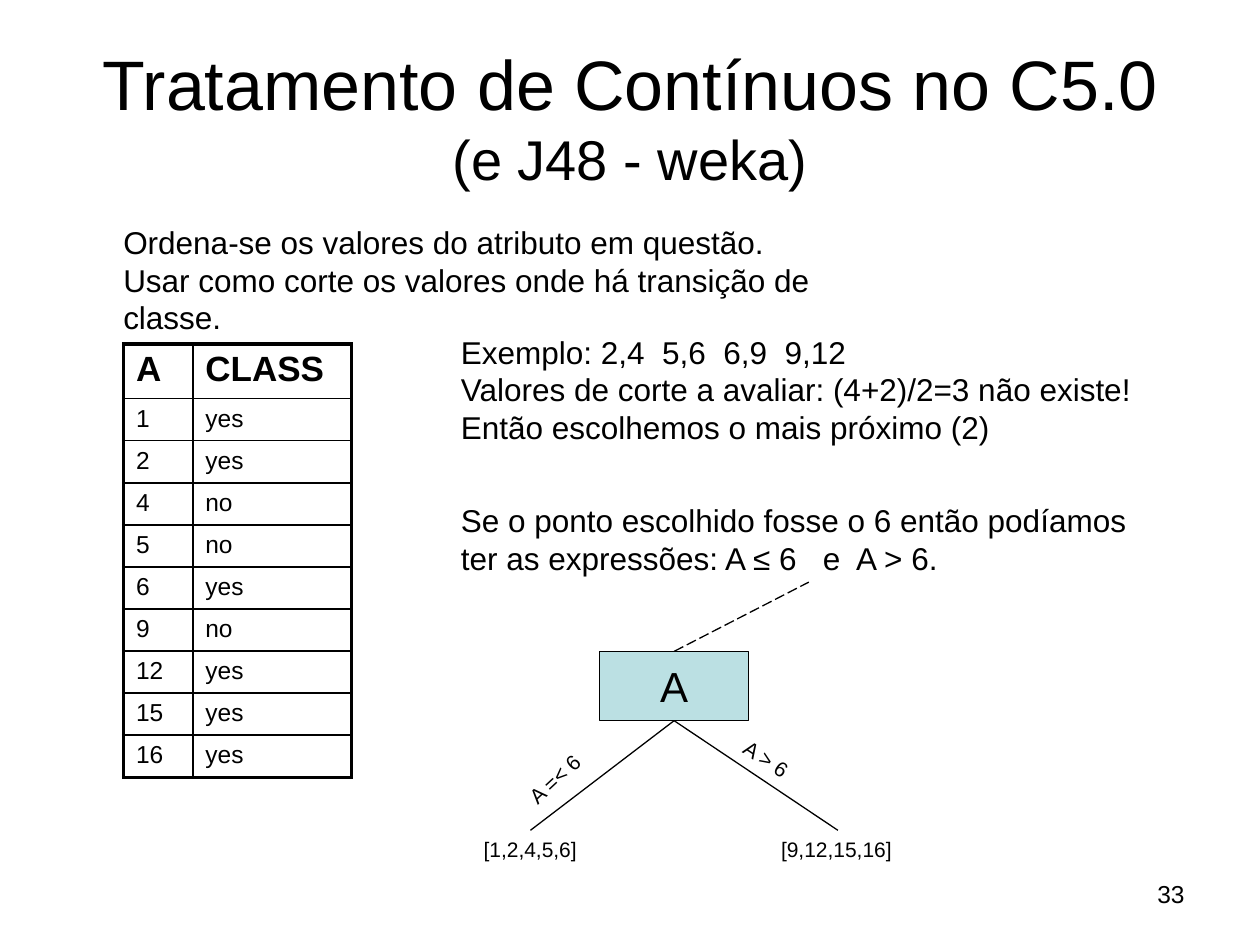
from dataclasses import dataclass

from lxml.etree import SubElement
from pptx import Presentation
from pptx.dml.color import RGBColor
from pptx.enum.dml import MSO_LINE
from pptx.enum.shapes import MSO_CONNECTOR, MSO_SHAPE
from pptx.enum.text import MSO_ANCHOR, MSO_AUTO_SIZE, PP_ALIGN
from pptx.oxml.ns import qn
from pptx.util import Inches, Pt


@dataclass(frozen=True)
class Theme:
    font: str = "Arial"
    ink: RGBColor = RGBColor(0, 0, 0)
    node: RGBColor = RGBColor(0xBB, 0xE0, 0xE3)
    title: int = 40
    subtitle: int = 32
    root: int = 24
    header: int = 20
    body: int = 18
    small: int = 14
    label: int = 12
    thin: float = 0.75
    grid: float = 1
    frame: float = 2.25


T = Theme()
ROWS = [("A", "CLASS"), ("1", "yes"), ("2", "yes"), ("4", "no"), ("5", "no"),
        ("6", "yes"), ("9", "no"), ("12", "yes"), ("15", "yes"), ("16", "yes")]


def add_run(p, text, size, bold=False):
    r = p.add_run()
    r.text = text
    r.font.name, r.font.size, r.font.bold = T.font, Pt(size), bold
    r.font.color.rgb = T.ink


def write(tf, *lines, size=T.body, bold=False, align=PP_ALIGN.LEFT):
    for i, line in enumerate(lines):
        p = tf.add_paragraph() if i else tf.paragraphs[0]
        p.alignment = align
        add_run(p, line, size, bold)


def add_text(s, box, *lines, rotation=0, wrap=False, **fmt):
    sp = s.shapes.add_textbox(*map(Inches, box))
    sp.rotation = rotation
    sp.text_frame.word_wrap = wrap
    write(sp.text_frame, *lines, **fmt)


def add_title(s, box):
    sp = s.shapes.title
    sp.left, sp.top, sp.width, sp.height = map(Inches, box)
    tf = sp.text_frame
    tf.auto_size = MSO_AUTO_SIZE.NONE
    tf.vertical_anchor = MSO_ANCHOR.MIDDLE
    p = tf.paragraphs[0]
    p.alignment = PP_ALIGN.CENTER
    add_run(p, "Tratamento de Contínuos no C5.0 ", T.title)
    add_run(p, "(e J48 - weka)", T.subtitle)


def set_borders(cell, **widths):
    """Draw the sides L, R, T, B, in the order the schema asks for."""
    tc_pr = cell._tc.get_or_add_tcPr()
    for i, side in enumerate("LRTB"):
        ln = tc_pr.makeelement(qn(f"a:ln{side}"), {"w": str(Pt(widths[side]))})
        fill = SubElement(ln, qn("a:solidFill"))
        SubElement(fill, qn("a:srgbClr"), val=str(T.ink))
        tc_pr.insert(i, ln)


def add_class_table(s, box):
    x, y, w, h = box
    last_row, last_col = len(ROWS) - 1, len(ROWS[0]) - 1
    table = s.shapes.add_table(last_row + 1, last_col + 1, *map(Inches, box)).table
    first_w, header_h = 0.55, 0.43
    table.columns[0].width = Inches(first_w)
    table.columns[1].width = Inches(w - first_w)
    for i, values in enumerate(ROWS):
        table.rows[i].height = Inches(header_h if i == 0 else (h - header_h) / last_row)
        for j, value in enumerate(values):
            cell = table.cell(i, j)
            cell.fill.background()
            write(cell.text_frame, value, size=T.small if i else T.header, bold=i == 0)
            set_borders(cell,
                        L=T.grid if j else T.frame,
                        R=T.frame if j == last_col else T.grid,
                        T=T.grid if i else T.frame,
                        B=T.frame if i == last_row else T.grid)


def add_branch(s, node, site, end, dash=None):
    """Join a side of the node to a free end point."""
    x, y = map(Inches, end)
    line = s.shapes.add_connector(MSO_CONNECTOR.STRAIGHT, x, y, x, y)
    line.begin_connect(node, site)
    line.line.color.rgb = T.ink
    line.line.width = Pt(T.thin)
    if dash:
        line.line.dash_style = dash
    SubElement(line._element.spPr, qn("a:effectLst"))


def add_tree(s, box):
    x, y, w, h = box
    node_w, node_h, leaf_h = 1.18, 0.55, 0.3
    node_y, leaf_y = y + h - 1.72, y + h - leaf_h

    node = s.shapes.add_shape(MSO_SHAPE.RECTANGLE, Inches(x + 1.02), Inches(node_y),
                              Inches(node_w), Inches(node_h))
    node.shadow.inherit = False
    node.fill.solid()
    node.fill.fore_color.rgb = T.node
    node.line.color.rgb = T.ink
    node.line.width = Pt(T.thin)
    node.text_frame.vertical_anchor = MSO_ANCHOR.MIDDLE
    write(node.text_frame, "A", size=T.root, align=PP_ALIGN.CENTER)

    add_branch(s, node, 2, (x + 0.47, leaf_y))
    add_branch(s, node, 2, (x + 2.91, leaf_y))
    add_branch(s, node, 0, (x + 2.68, y), MSO_LINE.LONG_DASH)

    for text, dx, top, width, angle in [
            ("A =< 6", 0.32, node_y + 0.86, 0.69, 316.9),
            ("A > 6", 2.05, node_y + 0.71, 0.6, 33.5),
            ("[1,2,4,5,6]", 0, leaf_y, 0.94, 0),
            ("[9,12,15,16]", w - 1.08, leaf_y, 1.08, 0)]:
        add_text(s, (x + dx, top, width, leaf_h), text, size=T.label, rotation=angle)


def main():
    prs = Presentation()
    prs.slide_width, prs.slide_height = Inches(10), Inches(7.5)
    s = prs.slides.add_slide(prs.slide_layouts[5])
    add_title(s, (0.5, 0.3, 9, 1.25))
    add_text(s, (0.88, 1.72, 6.49, 0.7),
             "Ordena-se os valores do atributo em questão.",
             "Usar como corte os valores onde há transição de classe.")
    add_class_table(s, (0.98, 2.73, 1.81, 3.43))
    add_text(s, (3.56, 2.59, 5.53, 1),
             "Exemplo: 2,4  5,6  6,9  9,12",
             "Valores de corte a avaliar: (4+2)/2=3 não existe!",
             "Então escolhemos o mais próximo (2)")
    add_text(s, (3.56, 3.93, 5.48, 0.7),
             "Se o ponto escolhido fosse o 6 então podíamos",
             "ter as expressões: A ≤ 6   e  A > 6.")
    add_tree(s, (3.74, 4.62, 3.44, 2.27))
    add_text(s, (7.17, 6.93, 2.33, 0.52), "33", size=T.small,
             align=PP_ALIGN.RIGHT, wrap=True)
    prs.save("out.pptx")


if __name__ == "__main__":
    main()
